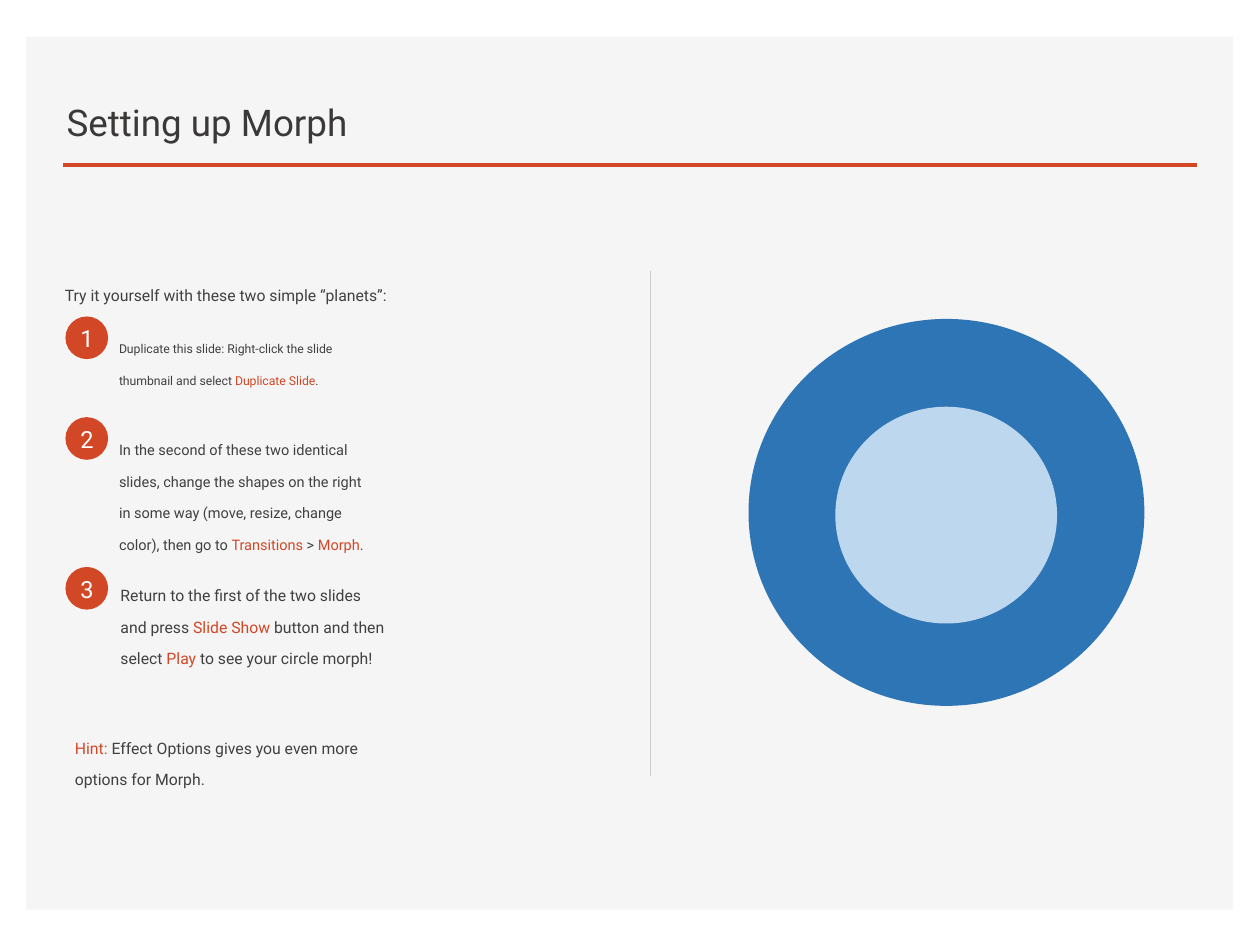
from collections import namedtuple
from dataclasses import dataclass

from lxml.etree import SubElement as Sub
from pptx import Presentation as Deck
from pptx.dml.color import RGBColor as Rgb
from pptx.enum.shapes import MSO_CONNECTOR as Wire, MSO_SHAPE as Form
from pptx.enum.text import MSO_ANCHOR as Anchor, PP_ALIGN as Align
from pptx.oxml.ns import qn
from pptx.util import Cm, Pt

Box = namedtuple("Box", "x y w h")


@dataclass(frozen=True)
class Theme:
    """Colours, font and type sizes of the slide."""
    font: str = "Roboto"
    panel: str = "F5F5F5"
    accent: str = "D24726"
    title: str = "3B3838"
    text: str = "404040"
    light: str = "FFFFFF"
    rule: str = "D0CECE"
    outer: str = "2E75B6"
    inner: str = "BDD7EE"
    head: float = 21
    badge: float = 13.5
    body: float = 9
    lead: float = 18


THEME = Theme()
STEPS = [
    (0, Box(0.89, 0.07, 5.18, 1.9), 7,
     "Duplicate this slide: Right-click the slide thumbnail and select "
     "*Duplicate Slide*."),
    (2.03, Box(0.89, 0.1, 5.51, 3.02), 8.3,
     "In the second of these two identical slides, change the shapes on the "
     "right in some way (move, resize, change color), then go to "
     "*Transitions* > *Morph*."),
    (5.05, Box(0.92, 0.03, 5.79, 2.31), 9,
     "Return to the first of the two slides and press *Slide Show *button "
     "and then select *Play *to see your circle morph!"),
]


def within(box, part):
    """Move a part from the corner of its box to the slide."""
    return Box(box.x + part.x, box.y + part.y, part.w, part.h)


def style(run, size, color):
    """Set the font of one run."""
    run.font.name = THEME.font
    run.font.size = Pt(size)
    run.font.color.rgb = Rgb.from_string(color)


def shape(shapes, form, box, color):
    """Draw a flat shape without outline."""
    item = shapes.add_shape(form, *map(Cm, box))
    item.shadow.inherit = False
    item.fill.solid()
    item.fill.fore_color.rgb = Rgb.from_string(color)
    item.line.fill.background()


def line(shapes, start, end, color, width):
    """Draw a straight line without shadow."""
    item = shapes.add_connector(Wire.STRAIGHT, *map(Cm, start + end))
    item.line.color.rgb = Rgb.from_string(color)
    item.line.width = Pt(width)
    Sub(item.element.spPr, qn("a:effectLst"))


def note(shapes, box, size, text):
    """Write a paragraph whose starred words take the accent colour."""
    frame = shapes.add_textbox(*map(Cm, box)).text_frame
    frame.word_wrap = True
    frame.margin_left = frame.margin_right = Cm(0.19)
    frame.margin_top = frame.margin_bottom = Cm(0.1)
    para = frame.paragraphs[0]
    para.line_spacing = Pt(THEME.lead)
    for i, words in enumerate(text.split("*")):
        if words:
            run = para.add_run()
            run.text = words
            style(run, size, THEME.accent if i % 2 else THEME.text)


def badge(shapes, box, label):
    """Group a disc with its number."""
    group = shapes.add_group_shape().shapes
    shape(group, Form.OVAL, box, THEME.accent)
    area = within(box, Box(-0.15, 0.03, 1.17, 0.84))
    frame = group.add_textbox(*map(Cm, area)).text_frame
    frame.word_wrap = True
    frame.text = label
    para = frame.paragraphs[0]
    para.alignment = Align.CENTER
    style(para.runs[0], THEME.badge, THEME.light)


def header(slide, box):
    """Place the panel, the title and the rule below it."""
    shapes = slide.shapes
    shape(shapes, Form.RECTANGLE, box, THEME.panel)
    left, top = box.x + 0.74, box.y + 2.59
    line(shapes, (left, top), (left + 22.86, top), THEME.accent, 2)
    title = shapes.title
    shapes.element.append(title.element)
    area = within(box, Box(0.56, 0.5, 14.33, 1.78))
    title.left, title.top, title.width, title.height = map(Cm, area)
    frame = title.text_frame
    frame.text = "Setting up Morph"
    frame.vertical_anchor = Anchor.BOTTOM
    para = frame.paragraphs[0]
    para.alignment = Align.LEFT
    style(para.runs[0], THEME.head, THEME.title)


def guide(slide, box):
    """Place the lead, the numbered steps and the hint."""
    shapes = slide.shapes
    note(shapes, Box(box.x, box.y, box.w, 0.99), THEME.body,
         "Try it yourself with these two simple “planets”:")
    for num, (drop, part, size, text) in enumerate(STEPS, 1):
        disc = within(box, Box(0.2, 0.97 + drop, 0.86, 0.86))
        badge(shapes, disc, str(num))
        note(shapes, within(disc, part), size, text)
    note(shapes, within(box, Box(0.2, 9.12, 7.19, 1.45)), THEME.body,
         "*Hint: *Effect Options gives you even more options for Morph.")


def planets(slide, box):
    """Place the divider and the two nested planets."""
    shapes = slide.shapes
    line(shapes, (box.x, box.y), (box.x, box.y + box.h), THEME.rule, 0.75)
    for part, color in ((Box(1.98, 0.97, 7.98, 7.8), THEME.outer),
                        (Box(3.73, 2.74, 4.47, 4.37), THEME.inner)):
        shape(shapes, Form.OVAL, within(box, part), color)


def main():
    """Build and save the slide."""
    deck = Deck()
    deck.slide_width, deck.slide_height = Cm(25.4), Cm(19.05)
    slide = deck.slides.add_slide(deck.slide_layouts[5])
    header(slide, Box(0.53, 0.74, 24.33, 17.6))
    guide(slide, Box(1.12, 5.41, 10.64, 10.57))
    planets(slide, Box(13.11, 5.46, 9.96, 10.19))
    deck.save("out.pptx")


if __name__ == "__main__":
    main()
